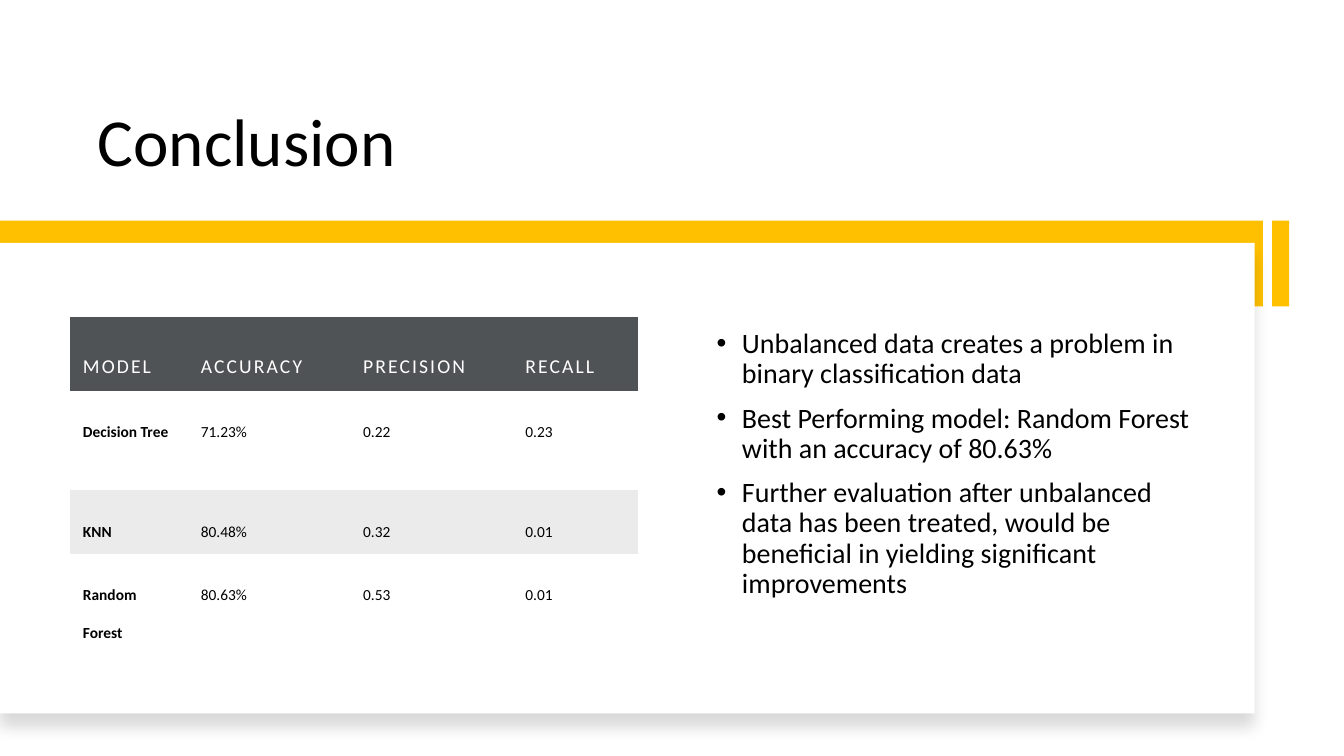
from dataclasses import dataclass

from lxml.etree import SubElement
from pptx import Presentation
from pptx.dml.color import RGBColor
from pptx.enum.shapes import MSO_SHAPE as Preset
from pptx.enum.text import MSO_ANCHOR as Anchor, PP_ALIGN as Align
from pptx.oxml import parse_xml
from pptx.oxml.ns import nsdecls, qn
from pptx.util import Cm, Pt


@dataclass(frozen=True)
class Theme:
    font: str = "Calibri"
    black: RGBColor = RGBColor(0x00, 0x00, 0x00)
    white: RGBColor = RGBColor(0xFF, 0xFF, 0xFF)
    accent: RGBColor = RGBColor(0xFF, 0xC0, 0x00)
    header: RGBColor = RGBColor(0x50, 0x53, 0x56)
    stripe: RGBColor = RGBColor(0xEB, 0xEB, 0xEB)
    title_size: Pt = Pt(48)
    body_size: Pt = Pt(20)
    header_size: Pt = Pt(14)
    cell_size: Pt = Pt(11)


THEME = Theme()
NO_TABLE_STYLE = "{2D5ABB26-0587-4C30-8999-92F81FD0307C}"
BAR_TOP, BAR_HEIGHT = 5.56, 2.16
COLUMN_WIDTHS = (2.97, 4.09, 4.09, 3.18)
ROW_HEIGHTS = (1.75, 2.51, 1.55, 2.51)
RESULTS = (
    ("MODEL", "ACCURACY", "PRECISION", "RECALL"),
    ("Decision Tree", "71.23%", "0.22", "0.23"),
    ("KNN", "80.48%", "0.32", "0.01"),
    ("Random Forest", "80.63%", "0.53", "0.01"),
)
FINDINGS = (
    "Unbalanced data creates a problem in binary classification data",
    "Best Performing model: Random Forest with an accuracy of 80.63%",
    "Further evaluation after unbalanced data has been treated, "
    "would be beneficial in yielding significant improvements",
)


def apply(target, values):
    for name, value in values.items():
        setattr(target, name, value)


def write(paragraph, text, size, color=THEME.black, bold=False, **layout):
    run = paragraph.add_run()
    run.text = text
    apply(run.font, {"name": THEME.font, "size": size, "bold": bold})
    run.font.color.rgb = color
    apply(paragraph, layout)
    return run


def add_block(slide, color, *box):
    shape = slide.shapes.add_shape(Preset.RECTANGLE, *map(Cm, box))
    shape.shadow.inherit = False
    shape.fill.solid()
    shape.fill.fore_color.rgb = color
    shape.line.fill.background()
    return shape


def add_soft_shadow(shape):
    effects = shape._element.spPr.find(qn("a:effectLst"))
    effects.append(parse_xml(
        f'<a:outerShdw {nsdecls("a")} blurRad="{Pt(11)}" dist="{Pt(10)}" '
        'dir="5400000" algn="t" rotWithShape="0"><a:srgbClr val="000000">'
        '<a:alpha val="15000"/></a:srgbClr></a:outerShdw>'
    ))


def add_text_frame(slide, anchor, *box):
    frame = slide.shapes.add_textbox(*map(Cm, box)).text_frame
    apply(frame, {"word_wrap": True, "vertical_anchor": anchor})
    return frame


def add_bullets(frame, items):
    for index, item in enumerate(items):
        paragraph = frame.add_paragraph() if index else frame.paragraphs[0]
        write(paragraph, item, THEME.body_size, line_spacing=0.9, space_before=Pt(10))
        properties = paragraph._p.get_or_add_pPr()
        properties.set("marL", str(Cm(0.64)))
        properties.set("indent", str(-Cm(0.64)))
        SubElement(properties, qn("a:buFont"), typeface="Arial")
        SubElement(properties, qn("a:buChar"), char="•")


def fill_cell(cell, text, row, column):
    margin = Cm(0.33)
    apply(cell, {f"margin_{side}": margin for side in ("left", "right", "top", "bottom")})
    is_header = row == 0
    run = write(
        cell.text_frame.paragraphs[0], text,
        THEME.header_size if is_header else THEME.cell_size,
        THEME.white if is_header else THEME.black,
        bold=column == 0 and not is_header,
        alignment=Align.JUSTIFY, line_spacing=2.0,
    )
    if is_header:
        run.font._element.set("spc", "150")
    if row % 2:
        cell.fill.background()
    else:
        cell.fill.solid()
        cell.fill.fore_color.rgb = THEME.header if is_header else THEME.stripe


def add_results_table(slide, left, top):
    box = (left, top, sum(COLUMN_WIDTHS), sum(ROW_HEIGHTS))
    table = slide.shapes.add_table(len(RESULTS), len(COLUMN_WIDTHS), *map(Cm, box)).table
    apply(table, {"first_row": False, "horz_banding": False})
    table._tbl.tblPr.find(qn("a:tableStyleId")).text = NO_TABLE_STYLE
    for column, width in zip(table.columns, COLUMN_WIDTHS):
        column.width = Cm(width)
    for row, height in zip(table.rows, ROW_HEIGHTS):
        row.height = Cm(height)
    for row, values in enumerate(RESULTS):
        for column, text in enumerate(values):
            fill_cell(table.cell(row, column), text, row, column)


def main():
    presentation = Presentation()
    apply(presentation, {"slide_width": Cm(33.87), "slide_height": Cm(19.05)})
    slide = presentation.slides.add_slide(presentation.slide_layouts[6])

    title = add_text_frame(slide, Anchor.BOTTOM, 2.21, 1.07, 28.17, 3.61)
    write(title.paragraphs[0], "Conclusion", THEME.title_size, line_spacing=0.9)

    add_block(slide, THEME.accent, 0, BAR_TOP, 31.83, BAR_HEIGHT)
    panel = add_block(slide, THEME.white, 0, 6.12, 31.62, 11.86)
    add_soft_shadow(panel)
    add_block(slide, THEME.accent, 32.06, BAR_TOP, 0.43, BAR_HEIGHT)

    findings = add_text_frame(slide, Anchor.MIDDLE, 17.81, 7.21, 12.6, 10.11)
    findings.margin_bottom = Cm(1.25)
    add_bullets(findings, FINDINGS)
    add_results_table(slide, 1.76, 8.0)

    presentation.save("out.pptx")


if __name__ == "__main__":
    main()
